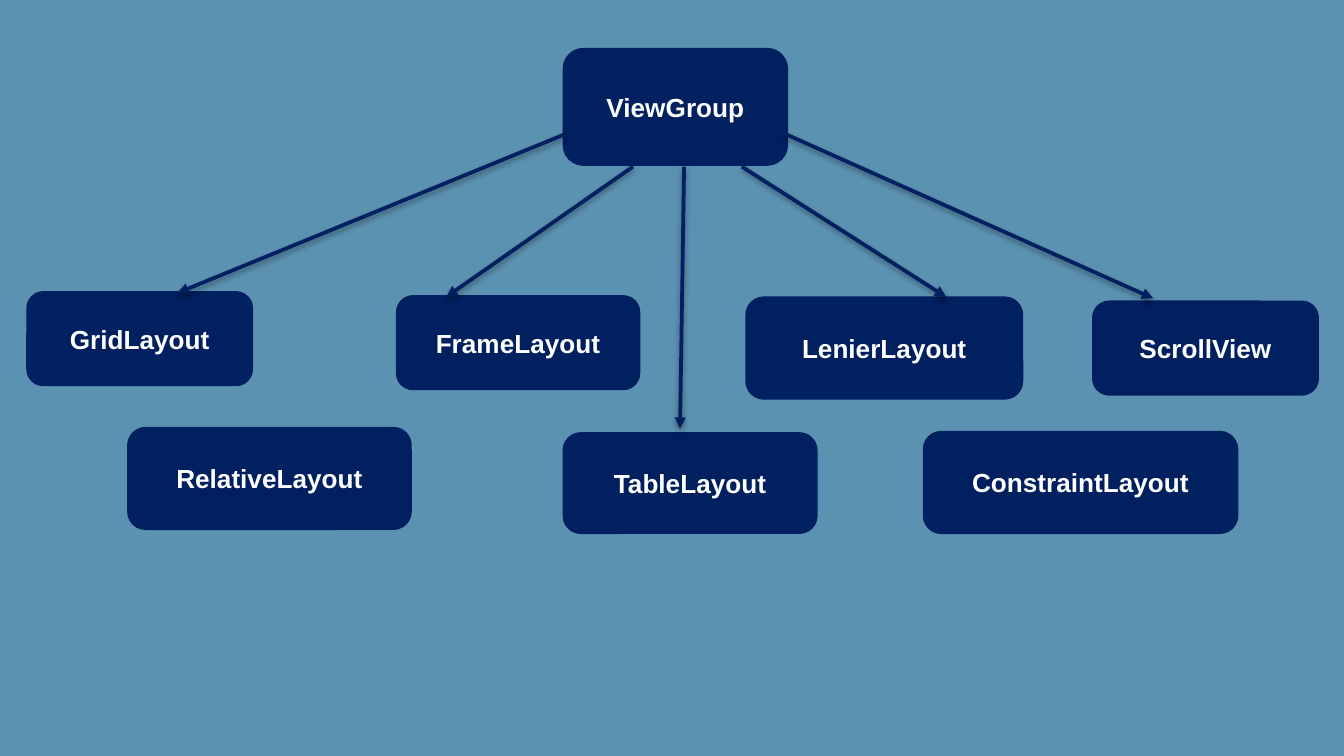
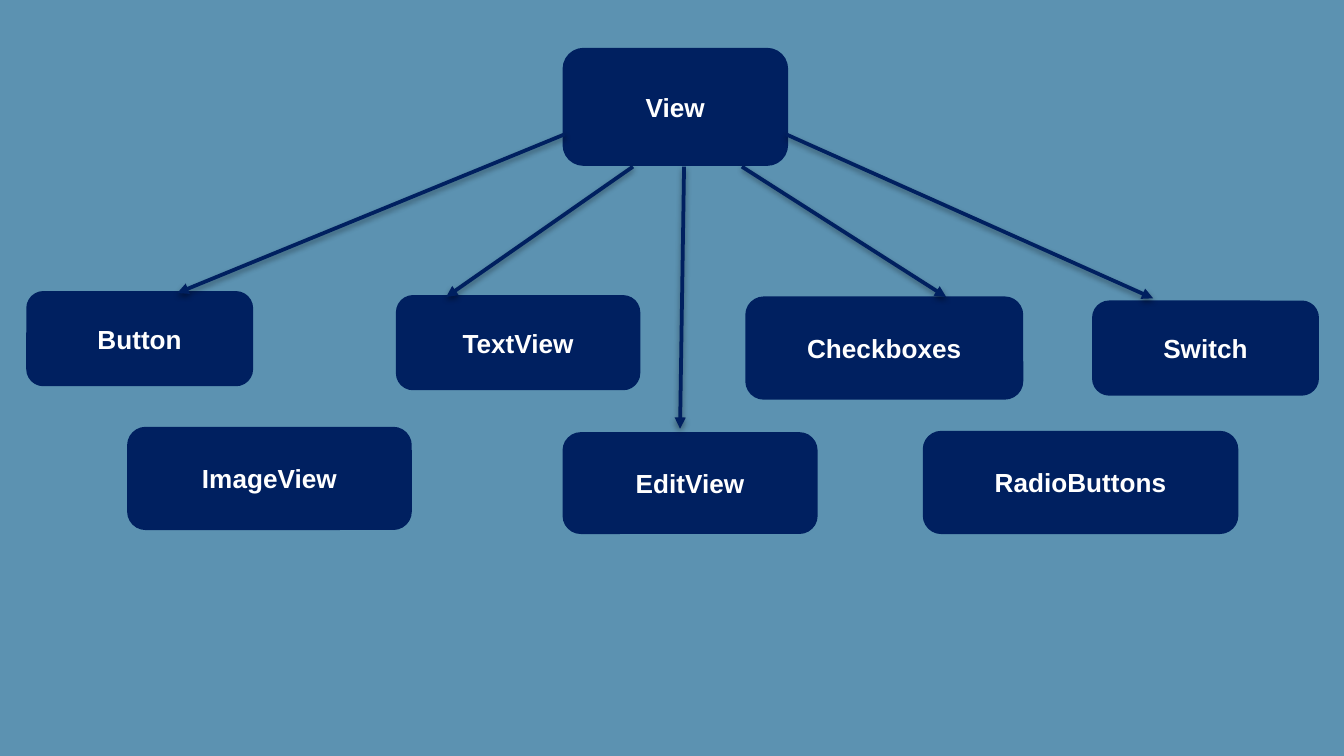
import dataclasses

import lxml.etree
import pptx
import pptx.dml.color
import pptx.enum.shapes
import pptx.enum.text
import pptx.oxml
import pptx.oxml.ns
import pptx.util

Inches = pptx.util.Inches
Pt = pptx.util.Pt
Color = pptx.dml.color.RGBColor.from_string


@dataclasses.dataclass(frozen=True)
class Theme:
    background: Color = Color("5C92B1")
    node: Color = Color("002060")
    label: Color = Color("FFFFFF")
    font: str = "Arial"
    label_size: int = 14
    line_width: int = 2


theme = Theme()

SHADOW = (
    '<a:effectLst %s><a:outerShdw blurRad="40000" dist="20000" dir="5400000" rotWithShape="0">'
    '<a:srgbClr val="000000"><a:alpha val="38000"/></a:srgbClr></a:outerShdw></a:effectLst>'
    % pptx.oxml.ns.nsdecls("a")
)


def write_text(box, text, *, size=theme.label_size, color=theme.label, bold=True,
               align=pptx.enum.text.PP_ALIGN.CENTER):
    frame = box.text_frame
    frame.word_wrap = True
    frame.vertical_anchor = pptx.enum.text.MSO_ANCHOR.MIDDLE
    para = frame.paragraphs[0]
    para.alignment = align
    span = para.add_run()
    span.text = text
    span.font.name = theme.font
    span.font.size = Pt(size)
    span.font.bold = bold
    span.font.color.rgb = color


def style_line(line):
    line.color.rgb = theme.node
    line.width = Pt(theme.line_width)


node_frames = {
    "root": (4.2, 0.37, 1.65, 0.85),
    "lower left": (0.96, 3.19, 2.09, 0.74),
    "upper far left": (0.21, 2.18, 1.66, 0.68),
    "lower right": (6.88, 3.22, 2.32, 0.74),
    "upper right": (5.56, 2.22, 2.04, 0.74),
    "upper left": (2.96, 2.21, 1.79, 0.68),
    "lower middle": (4.2, 3.23, 1.87, 0.73),
    "upper far right": (8.14, 2.25, 1.66, 0.68),
}
arrows = [
    (5.85, 1, 8.58, 2.22),
    (5.52, 1.24, 7.04, 2.21),
    (4.71, 1.24, 3.32, 2.21),
    (5.09, 1.24, 5.06, 3.19),
    (4.2, 1, 1.32, 2.18),
]
hierarchies = [
    {
        "root": "ViewGroup",
        "upper far left": "GridLayout",
        "upper left": "FrameLayout",
        "upper right": "LenierLayout",
        "upper far right": "ScrollView",
        "lower left": "RelativeLayout",
        "lower middle": "TableLayout",
        "lower right": "ConstraintLayout",
    },
    {
        "root": "View",
        "upper far left": "Button",
        "upper left": "TextView",
        "upper right": "Checkboxes",
        "upper far right": "Switch",
        "lower left": "ImageView",
        "lower middle": "EditView",
        "lower right": "RadioButtons",
    },
]

deck = pptx.Presentation()
deck.slide_width = Inches(10)
deck.slide_height = Inches(5.625)

for labels in hierarchies:
    page = deck.slides.add_slide(deck.slide_layouts[6])
    page.background.fill.solid()
    page.background.fill.fore_color.rgb = theme.background

    for place, frame in node_frames.items():
        node = page.shapes.add_shape(
            pptx.enum.shapes.MSO_SHAPE.ROUNDED_RECTANGLE, *map(Inches, frame))
        node.shadow.inherit = False
        node.fill.solid()
        node.fill.fore_color.rgb = theme.node
        style_line(node.line)
        write_text(node, labels[place])

    for ends in arrows:
        arrow = page.shapes.add_connector(
            pptx.enum.shapes.MSO_CONNECTOR.STRAIGHT, *map(Inches, ends))
        style_line(arrow.line)
        properties = arrow._element.spPr
        outline = properties.find(pptx.oxml.ns.qn("a:ln"))
        lxml.etree.SubElement(outline, pptx.oxml.ns.qn("a:tailEnd"), type="triangle")
        properties.append(pptx.oxml.parse_xml(SHADOW))

deck.save("out.pptx")
